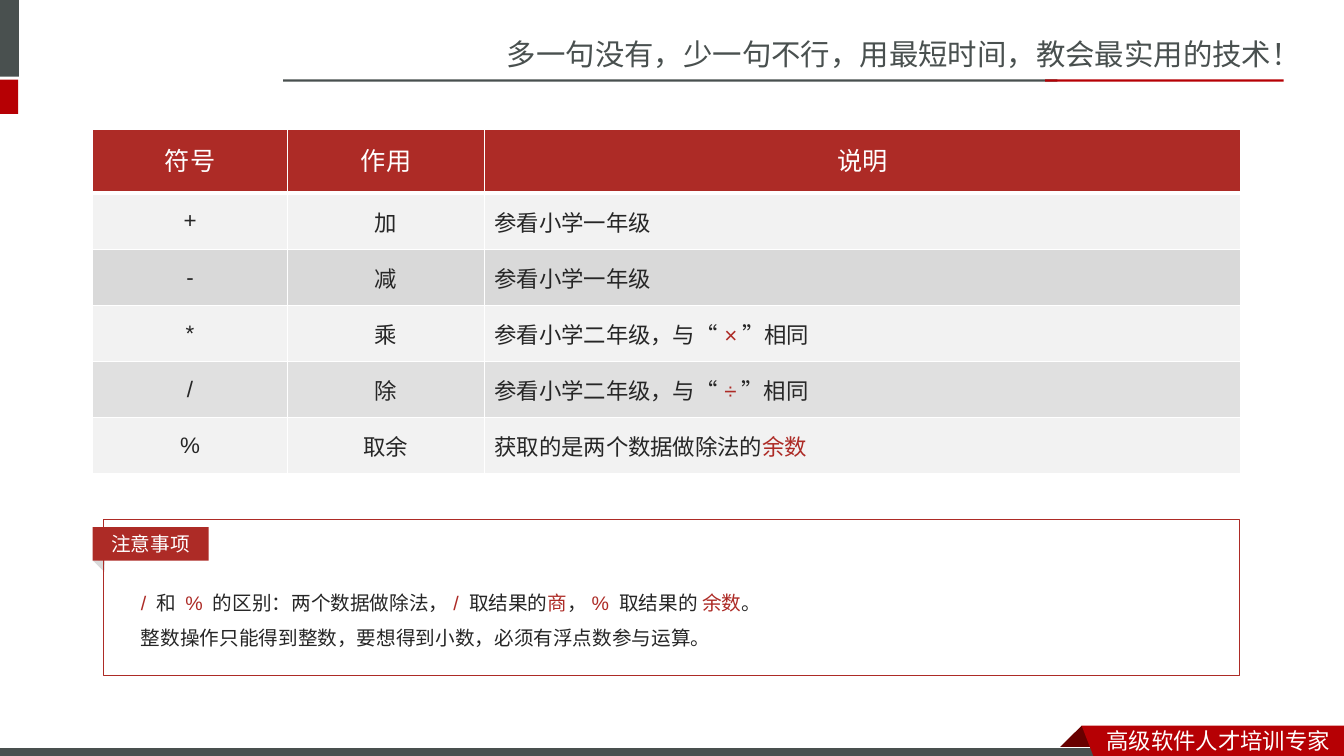
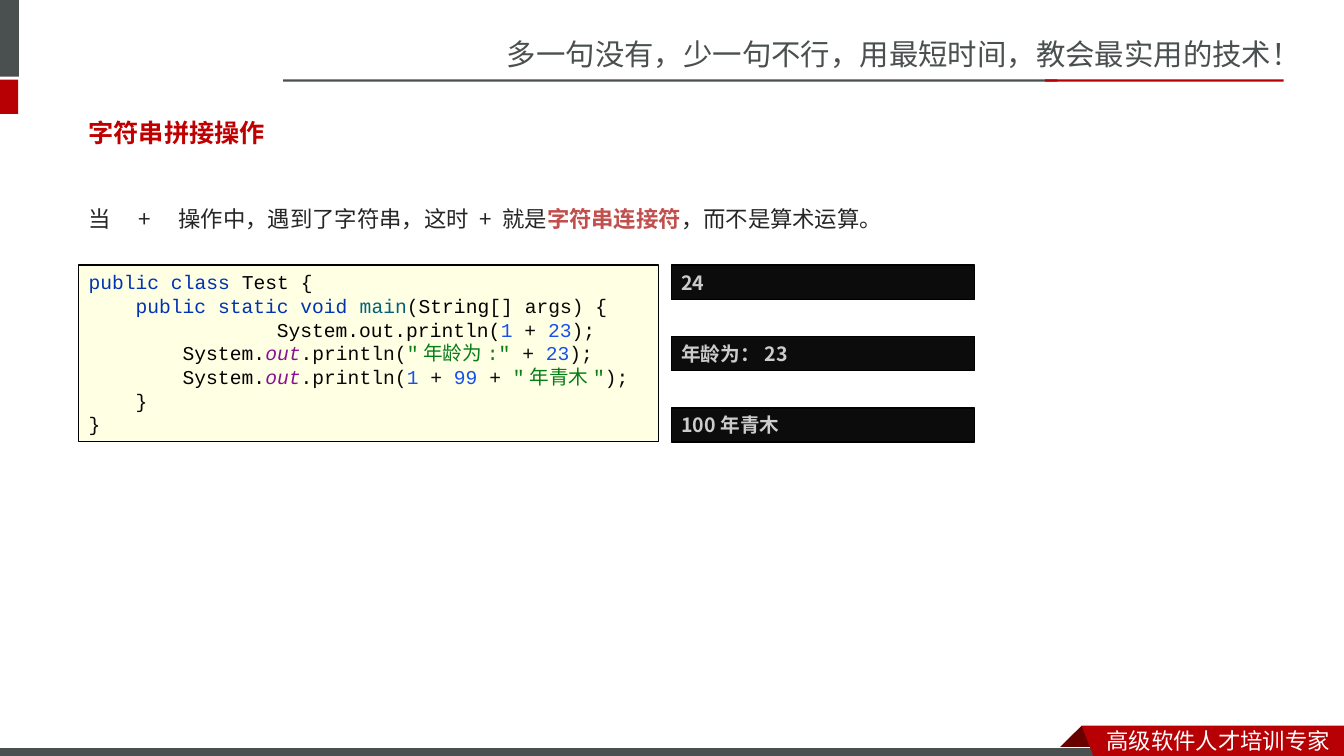
from lxml.etree import SubElement
from pptx import Presentation
from pptx.dml.color import RGBColor
from pptx.enum.shapes import MSO_SHAPE as Preset
from pptx.enum.text import MSO_ANCHOR as Anchor, PP_ALIGN as Align
from pptx.oxml.ns import qn
from pptx.util import Pt

COLOURS = {
    "white": "FFFFFF", "black": "000000", "slate": "49504F",
    "crimson": "B60004", "maroon": "680000", "brick": "AD2B26",
    "heading": "C00000", "emphasis": "C0504D", "ink": "262626",
    "pale": "F2F2F2", "grey": "D9D9D9", "light": "E0E0E0",
    "paper": "FFFFE4", "console": "0C0C0C", "output": "CCCCCC",
    "code": "080808", "keyword": "0033B3", "method": "00627A",
    "number": "1750EB", "field": "871094", "string": "067D17",
}
SANS, SONG, MONO, ARIAL = "Noto Sans CJK SC", "Noto Sans CJK JP", "Courier New", "Arial"
CODE_CHARACTER = 8.4


def colour(name):
    return RGBColor.from_string(COLOURS[name])


def write(frame, paragraphs, size=16, font=ARIAL, color="ink", bold=False,
          align=Align.LEFT, spacing=None, indents=()):
    frame.word_wrap = True
    for index, runs in enumerate(paragraphs):
        paragraph = frame.add_paragraph() if index else frame.paragraphs[0]
        paragraph.alignment = align
        if spacing:
            paragraph.line_spacing = Pt(spacing)
        if indents:
            paragraph._p.get_or_add_pPr().set("marL", str(Pt(indents[index])))
        for part in [runs] if isinstance(runs, str) else runs:
            text, tint, style = ((part,) if isinstance(part, str) else part) + (None, "")[
                (0 if isinstance(part, str) else len(part) - 1):]
            run = paragraph.add_run()
            run.text = text
            run.font.size = Pt(size)
            run.font.bold = bold or style == "bold"
            run.font.italic = style == "italic"
            run.font.color.rgb = colour(tint or color)
            run.font.name = font
            east_asian = SubElement(run._r.get_or_add_rPr(), qn("a:ea"))
            east_asian.set("typeface", font if font == SONG else SANS)


class Deck:
    """Holds the shared style and the current slide."""

    def __init__(self):
        self.presentation = Presentation()
        self.presentation.slide_width = Pt(960)
        self.presentation.slide_height = Pt(540)
        self.slide = None

    def new_slide(self):
        self.slide = self.presentation.slides.add_slide(self.presentation.slide_layouts[6])
        self.text((355, 20.2, 605, 33.8), ["多一句没有，少一句不行，用最短时间，教会最实用的技术！"],
                  size=21, font=SANS, color="slate", spacing=27)
        self.box((0, 0, 13.5, 54.7), "slate")
        self.box((0, 56.9, 13, 24.5), "crimson")
        self.box((202.3, 56.7, 553, 1.6), "slate")
        self.box((746.6, 56.7, 170.4, 1.6), "crimson")
        self.outline([(772.6, 518.4), (788.4, 534.2), (787.7, 535), (757.4, 535),
                      (756.7, 534.2)], "maroon")
        self.box((-0.7, 533.8, 792, 8.2), "slate", line="white")
        self.outline([(772.6, 518.4), (960, 518.4), (960, 540), (781, 540)], "crimson")
        self.text((783.4, 514.8, 176.6, 26.6), ["高级软件人才培训专家"],
                  font=SANS, color="white", spacing=20)

    def paint(self, shape, fill, line=None, weight=0.75):
        shape.shadow.inherit = False
        if fill:
            shape.fill.solid()
            shape.fill.fore_color.rgb = colour(fill)
        else:
            shape.fill.background()
        if line:
            shape.line.color.rgb = colour(line)
            shape.line.width = Pt(weight)
        else:
            shape.line.fill.background()

    def box(self, place, fill=None, line=None, weight=0.75, preset=Preset.RECTANGLE,
            rotation=0, paragraphs=(), anchor=Anchor.MIDDLE, **style):
        shape = self.slide.shapes.add_shape(preset, *map(Pt, place))
        shape.rotation = rotation
        self.paint(shape, fill, line, weight)
        shape.text_frame.vertical_anchor = anchor
        write(shape.text_frame, paragraphs, **style)

    def outline(self, points, fill):
        start, *rest = [(Pt(x), Pt(y)) for x, y in points]
        builder = self.slide.shapes.build_freeform(*start)
        builder.add_line_segments(rest, close=True)
        self.paint(builder.convert_to_shape(), fill)

    def text(self, place, paragraphs, anchor=Anchor.TOP, **style):
        frame = self.slide.shapes.add_textbox(*map(Pt, place)).text_frame
        frame.vertical_anchor = anchor
        write(frame, paragraphs, **style)

    def cell_borders(self, cell, widths):
        properties = cell._tc.get_or_add_tcPr()
        for side, width in zip("LRTB", widths):
            border = SubElement(properties, qn(f"a:ln{side}"), w=str(Pt(width)))
            fill = SubElement(border, qn("a:solidFill"))
            SubElement(fill, qn("a:srgbClr"), val=COLOURS["white"])

    def table(self, left, top, widths, heights, rows, fills):
        table = self.slide.shapes.add_table(
            len(rows), len(widths), Pt(left), Pt(top), Pt(sum(widths)), Pt(sum(heights))).table
        for column, width in zip(table.columns, widths):
            column.width = Pt(width)
        for index, (values, height, fill) in enumerate(zip(rows, heights, fills)):
            table.rows[index].height = Pt(height)
            header = index == 0
            style = dict(size=18, color="white", spacing=24) if header else {}
            for position, value in enumerate(values):
                cell = table.cell(index, position)
                self.cell_borders(cell, (1, 1, 3 if index == 1 else 1, 3 if header else 1))
                cell.fill.solid()
                cell.fill.fore_color.rgb = colour(fill)
                cell.vertical_anchor = Anchor.MIDDLE
                centred = header or position < 2
                write(cell.text_frame, [value],
                      align=Align.CENTER if centred else Align.LEFT, **style)


def operators_slide(deck):
    deck.new_slide()
    deck.box((67, 398.9, 11.5, 6.5), "grey", preset=Preset.ISOSCELES_TRIANGLE, rotation=44.2)
    rows = [
        ("符号", "作用", "说明"),
        ("+", "加", "参看小学一年级"),
        ("-", "减", "参看小学一年级"),
        ("*", "乘", ["参看小学二年级，与“", ("×", "brick"), "”相同"]),
        ("/", "除", ["参看小学二年级，与“", ("÷", "brick"), "”相同"]),
        ("%", "取余", ["获取的是两个数据做除法的", ("余数", "brick")]),
    ]
    deck.table(66, 92.5, (139.5, 140.5, 540), [45.5] + [40.1] * 5, rows,
               ("brick", "pale", "grey", "pale", "light", "pale"))
    deck.text((93.6, 410.4, 533, 55.4), [
        [("/ ", "brick"), "和 ", ("% ", "brick"), "的区别：两个数据做除法，",
         ("/ ", "brick"), "取结果的", ("商", "brick"), "，", ("% ", "brick"),
         "取结果的 ", ("余数", "brick"), "。"],
        "整数操作只能得到整数，要想得到小数，必须有浮点数参与运算。",
    ], size=14, spacing=25)
    deck.box((74.3, 370.8, 811.4, 111.6), line="brick")
    deck.box((66.2, 376.6, 82.8, 23.8), "brick", paragraphs=["注意事项"],
             size=14, color="white", align=Align.CENTER)


def strings_slide(deck):
    deck.new_slide()
    deck.text((56.2, 74.2, 846.7, 41), ["字符串拼接操作"], anchor=Anchor.MIDDLE,
              size=18, font=SONG, color="heading", bold=True)
    deck.text((56.2, 132.5, 573, 33.8), [
        ["当　+　操作中，遇到了字符串，这时 + 就是", ("字符串连接符", "emphasis", "bold"),
         "，而不是算术运算。"]], font=SONG, spacing=30)
    call = [("System", "black"), ".", ("out", "field", "italic"), ".println("]
    one, twenty_three, plus = ("1 ", "number"), ("23", "number"), "+ "
    code = [
        (0, [("public class ", "keyword"), ("Test ", "black"), "{"]),
        (4, [("public static void ", "keyword"), ("main", "method"), "(",
             ("String", "black"), "[] args) {"]),
        (16, [("System.out.println(", "black"), one, plus, twenty_three, ");"]),
        (8, call + [("\"年龄为:\" ", "string"), plus, twenty_three, ");"]),
        (8, call + [one, plus, ("99 ", "number"), plus, ("\"年青木\"", "string"), ");"]),
        (4, "}"),
        (0, "}"),
    ]
    deck.box((56.2, 189.4, 414, 126), "paper", line="black", weight=1,
             paragraphs=[runs for _, runs in code], anchor=Anchor.TOP, size=14, font=MONO,
             color="code", spacing=16.9, indents=[count * CODE_CHARACTER for count, _ in code])
    for index, result in enumerate(("24", "年龄为：23", "100年青木")):
        deck.box((479.5, 189.4 + 51 * index, 216.7, 24.5), "console", line="black", weight=1,
                 paragraphs=[result], size=14, font=SONG, color="output", bold=True)


def main():
    deck = Deck()
    operators_slide(deck)
    strings_slide(deck)
    deck.presentation.save("out.pptx")


if __name__ == "__main__":
    main()
